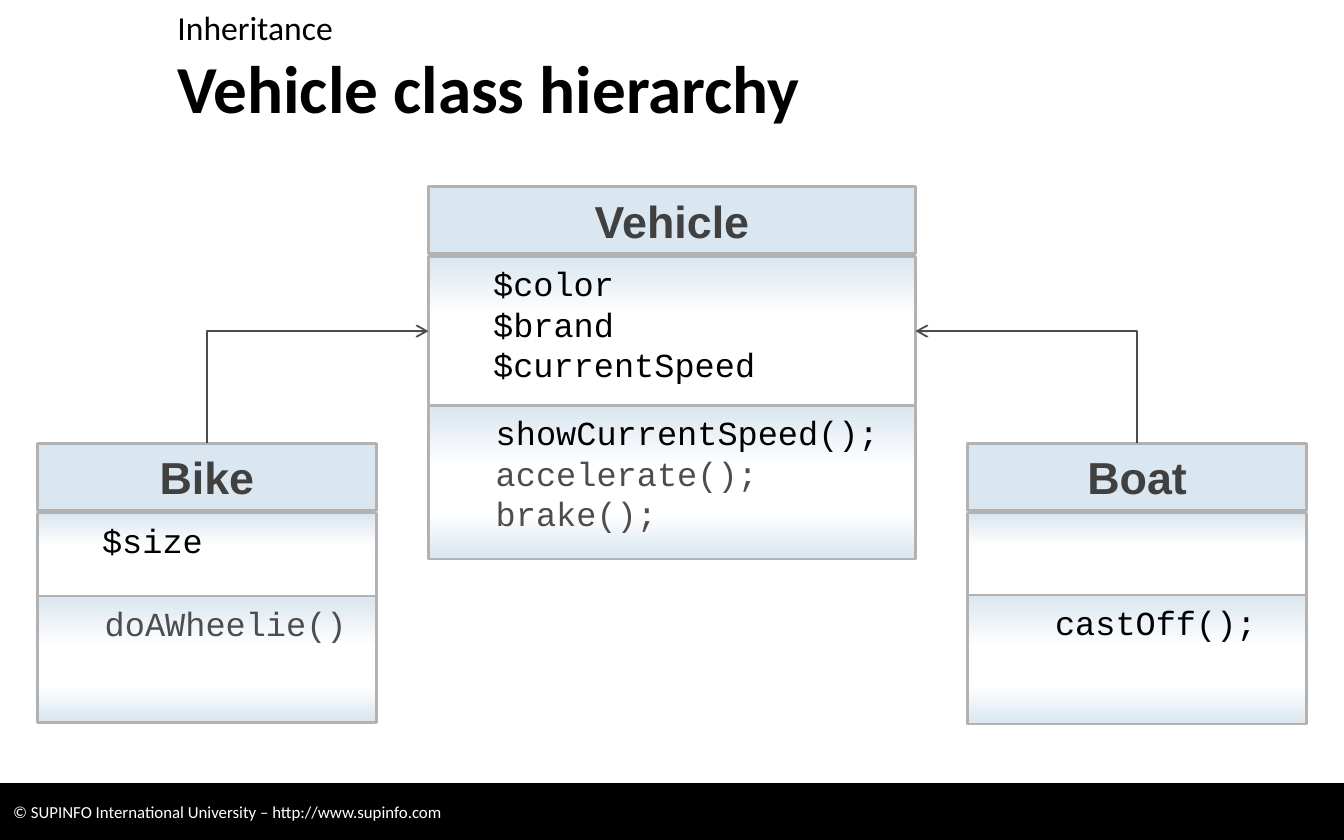
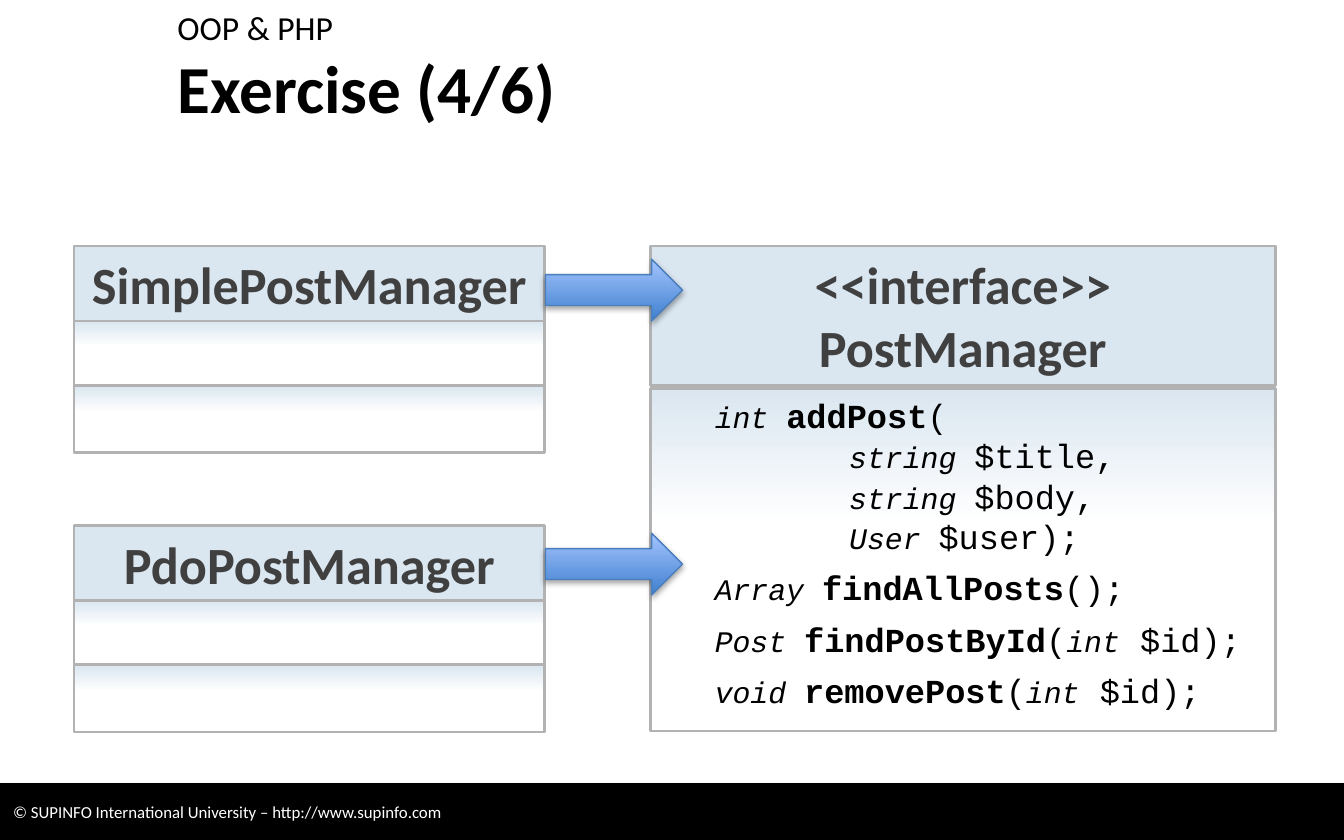
from lxml import etree
from pptx import Presentation
from pptx.dml.color import RGBColor
from pptx.enum.shapes import MSO_CONNECTOR, MSO_SHAPE
from pptx.enum.text import MSO_ANCHOR, MSO_AUTO_SIZE, PP_ALIGN
from pptx.oxml.ns import qn
from pptx.util import Cm, Pt

RECT = MSO_SHAPE.RECTANGLE
ARROW = MSO_SHAPE.RIGHT_ARROW
ELBOW = MSO_CONNECTOR.ELBOW
TOP, MIDDLE = MSO_ANCHOR.TOP, MSO_ANCHOR.MIDDLE
LEFT, CENTER = PP_ALIGN.LEFT, PP_ALIGN.CENTER
NO_FIT = MSO_AUTO_SIZE.NONE

BLACK = RGBColor(0x00, 0x00, 0x00)
WHITE = RGBColor(0xFF, 0xFF, 0xFF)
PALE_BLUE = RGBColor(0xDA, 0xE6, 0xF0)
BORDER = RGBColor(0xB2, 0xB2, 0xB2)
HEADER_TEXT = RGBColor(0x40, 0x40, 0x40)
GRAY = RGBColor(0x4D, 0x4D, 0x4D)
SHADOW_GRAY = RGBColor(0x80, 0x80, 0x80)
ARROW_DARK = RGBColor(0x3F, 0x80, 0xCE)
ARROW_LIGHT = RGBColor(0xA4, 0xC4, 0xFF)
ARROW_LINE = RGBColor(0x4B, 0x7E, 0xBC)

# Compartment gradients, top to bottom
FADE = [(0, PALE_BLUE), (40, WHITE), (100, WHITE)]
FADE_BOTH = [(0, PALE_BLUE), (40, WHITE), (70, WHITE), (100, PALE_BLUE)]

SLIDE_W, SLIDE_H = 25.4, 15.88
MONO = "Courier New"
FIELD_INDENT, METHOD_INDENT, PARAM_INDENT = 0.71, 0.76, 3.25

# Run styles in method signatures
TYPE = dict(size=16, italic=True)
NAME = dict(bold=True)
PLAIN = {}


def add_line(tf, text, size=18, font="Calibri", color=BLACK, bold=False,
             italic=False, align=LEFT, indent=0, before=0):
    """Add one paragraph; text is a string or a list of (text, style) runs."""
    p = tf.paragraphs[0]
    if p.runs:
        p = tf.add_paragraph()
        p.space_before = Pt(before)
    else:
        p.space_before = Pt(0)
    p.alignment = align
    pPr = p._p.get_or_add_pPr()
    pPr.set("marL", str(Cm(indent)))
    pPr.set("indent", "0")
    etree.SubElement(pPr, qn("a:buNone"))
    base = dict(size=size, bold=bold, italic=italic)
    for part, style in [(text, {})] if isinstance(text, str) else text:
        fmt = {**base, **style}
        r = p.add_run()
        r.text = part
        r.font.name = font
        r.font.size = Pt(fmt["size"])
        r.font.bold = fmt["bold"]
        r.font.italic = fmt["italic"]
        r.font.color.rgb = color


def add_color(parent, tag, color, **attrs):
    el = etree.SubElement(parent, qn(tag), **attrs)
    return etree.SubElement(el, qn("a:srgbClr"), val=str(color))


def fill_gradient(sp, stops, angle=270):
    sp.fill.gradient()
    sp.fill.gradient_angle = angle
    gs_list = sp._element.spPr.find(".//" + qn("a:gsLst"))
    for gs in list(gs_list):
        gs_list.remove(gs)
    for pos, color in stops:
        add_color(gs_list, "a:gs", color, pos=str(pos * 1000))


def add_shadow(sp, color):
    effects = sp._element.spPr.find(qn("a:effectLst"))
    clr = add_color(effects, "a:outerShdw", color, blurRad="40000",
                    dist="23000", dir="5400000", rotWithShape="0")
    etree.SubElement(clr, qn("a:alpha"), val="35000")


def add_box(shapes, kind, x, y, w, h, fill, line, width, angle=270):
    """Add a preset shape; fill is a colour or a list of gradient stops."""
    sp = shapes.add_shape(kind, Cm(x), Cm(y), Cm(w), Cm(h))
    sp.shadow.inherit = False
    if isinstance(fill, list):
        fill_gradient(sp, fill, angle)
    else:
        sp.fill.solid()
        sp.fill.fore_color.rgb = fill
    sp.line.color.rgb = line
    sp.line.width = Pt(width)
    sp.text_frame.word_wrap = True
    return sp


def base_slide(prs, title, topic):
    """Slide with topic, title and the footer band."""
    slide = prs.slides.add_slide(prs.slide_layouts[1])
    heads = [(slide.shapes.title, title, 0.94, 1.4, MIDDLE,
              dict(size=36, bold=True)),
             (slide.placeholders[1], topic, 0, 0.94, TOP, {})]
    for ph, text, y, h, anchor, style in heads:
        ph.left, ph.top, ph.width, ph.height = Cm(3.1), Cm(y), Cm(21.6), Cm(h)
        ph.text_frame.auto_size = NO_FIT
        ph.text_frame.vertical_anchor = anchor
        add_line(ph.text_frame, text, **style)

    band_y = 14.81
    band = add_box(slide.shapes, RECT, 0, band_y, SLIDE_W, SLIDE_H - band_y,
                   BLACK, BLACK, 0.75)
    add_shadow(band, SHADOW_GRAY)
    band.text_frame.vertical_anchor = MIDDLE
    add_line(band.text_frame,
             "© SUPINFO International University – http://www.supinfo.com",
             size=9, color=WHITE)
    return slide


def class_box(slide, x, y, w, names, header_h, compartments, gap=0.05,
              **header_style):
    """Stack a header and (height, fill, lines) compartments in one group."""
    shapes = slide.shapes.add_group_shape().shapes
    header = add_box(shapes, RECT, x, y, w, header_h, PALE_BLUE, BORDER, 1.5)
    header.text_frame.vertical_anchor = TOP
    for name in names:
        add_line(header.text_frame, name, color=HEADER_TEXT, bold=True,
                 align=CENTER, **header_style)
    parts = [header]
    y += header_h + gap
    for h, fill, lines in compartments:
        sp = add_box(shapes, RECT, x, y, w, h, fill, BORDER, 1.5)
        tf = sp.text_frame
        tf.vertical_anchor = TOP
        tf.margin_left = Cm(0.51)
        for text, style in lines:
            add_line(tf, text, font=MONO, **style)
        parts.append(sp)
        y += h
    return parts


def inherit_arrow(slide, parent, side, child):
    """Elbow from a side of the parent to the top of the child."""
    cxn = slide.shapes.add_connector(ELBOW, 0, 0, 0, 0)
    cxn.begin_connect(parent, side)
    cxn.end_connect(child, 0)
    cxn.line.color.rgb = GRAY
    cxn.line.width = Pt(1)
    spPr = cxn._element.spPr
    spPr.find(qn("a:prstGeom")).set("prst", "bentConnector2")
    etree.SubElement(spPr.find(qn("a:ln")), qn("a:headEnd"), type="arrow")
    etree.SubElement(spPr, qn("a:effectLst"))


def hierarchy_slide(prs):
    slide = base_slide(prs, "Vehicle class hierarchy", "Inheritance")
    header = dict(header_h=1.27, size=24, font="Arial")
    field = dict(indent=FIELD_INDENT)
    method = dict(indent=METHOD_INDENT)
    gray_method = dict(indent=METHOD_INDENT, color=GRAY)

    # Parent class
    vehicle = class_box(slide, 8.1, 3.53, 9.2, ["Vehicle"], compartments=[
        (2.82, FADE, [("$color", field), ("$brand", field),
                      ("$currentSpeed", field)]),
        (2.9, FADE_BOTH, [("showCurrentSpeed();", method),
                          ("accelerate();", gray_method),
                          ("brake();", gray_method)])], **header)

    # Child classes
    child_y, child_w, margin = 8.38, 6.4, 0.71
    boat = class_box(slide, SLIDE_W - margin - child_w, child_y, child_w,
                     ["Boat"], compartments=[
        (1.55, FADE, []),
        (2.44, FADE_BOTH, [("castOff();", dict(indent=1.14))])], **header)
    bike = class_box(slide, margin, child_y, child_w, ["Bike"], compartments=[
        (1.57, FADE, [("$size", field)]),
        (2.39, FADE_BOTH, [("doAWheelie()", gray_method)])], **header)

    # Inheritance arrows: connection sites 1 and 3 are left and right
    for side, child in [(1, bike), (3, boat)]:
        inherit_arrow(slide, vehicle[1], side, child[0])


def exercise_slide(prs):
    slide = base_slide(prs, "Exercise (4/6)", "OOP & PHP")
    method = dict(indent=FIELD_INDENT, before=6)
    param = dict(indent=PARAM_INDENT)
    id_param = [("(", PLAIN), ("int", TYPE), (" $id);", PLAIN)]
    signatures = [
        ([("int ", TYPE), ("addPost", NAME), ("(", PLAIN)], method),
        ([("string ", TYPE), ("$title,", PLAIN)], param),
        ([("string ", TYPE), ("$body,", PLAIN)], param),
        ([("User ", TYPE), ("$user);", PLAIN)], param),
        ([("Array ", TYPE), ("findAllPosts", NAME), ("();", PLAIN)], method),
        ([("Post ", TYPE), ("findPostById", NAME)] + id_param, method),
        ([("void ", TYPE), ("removePost", NAME)] + id_param, method),
    ]

    # Interface
    top = 4.65
    class_box(slide, 12.29, top, 11.81, ["<<interface>>", "PostManager"],
              2.64, [(6.48, FADE, signatures)], size=28)

    # Implementations and their arrows
    for name, y, arrow_y in [("SimplePostManager", top, 4.9),
                             ("PdoPostManager", 9.93, 10.08)]:
        class_box(slide, 1.4, y, 8.89, [name], 1.42,
                  [(1.22, FADE, []), (1.27, FADE, [])], gap=0, size=28)
        arrow = add_box(slide.shapes, ARROW, 10.31, arrow_y, 2.59, 1.17,
                        [(0, ARROW_DARK), (100, ARROW_LIGHT)], ARROW_LINE,
                        0.75, angle=90)
        add_shadow(arrow, BLACK)


def main():
    prs = Presentation()
    prs.slide_width, prs.slide_height = Cm(SLIDE_W), Cm(SLIDE_H)
    hierarchy_slide(prs)
    exercise_slide(prs)
    prs.save("out.pptx")


if __name__ == "__main__":
    main()
